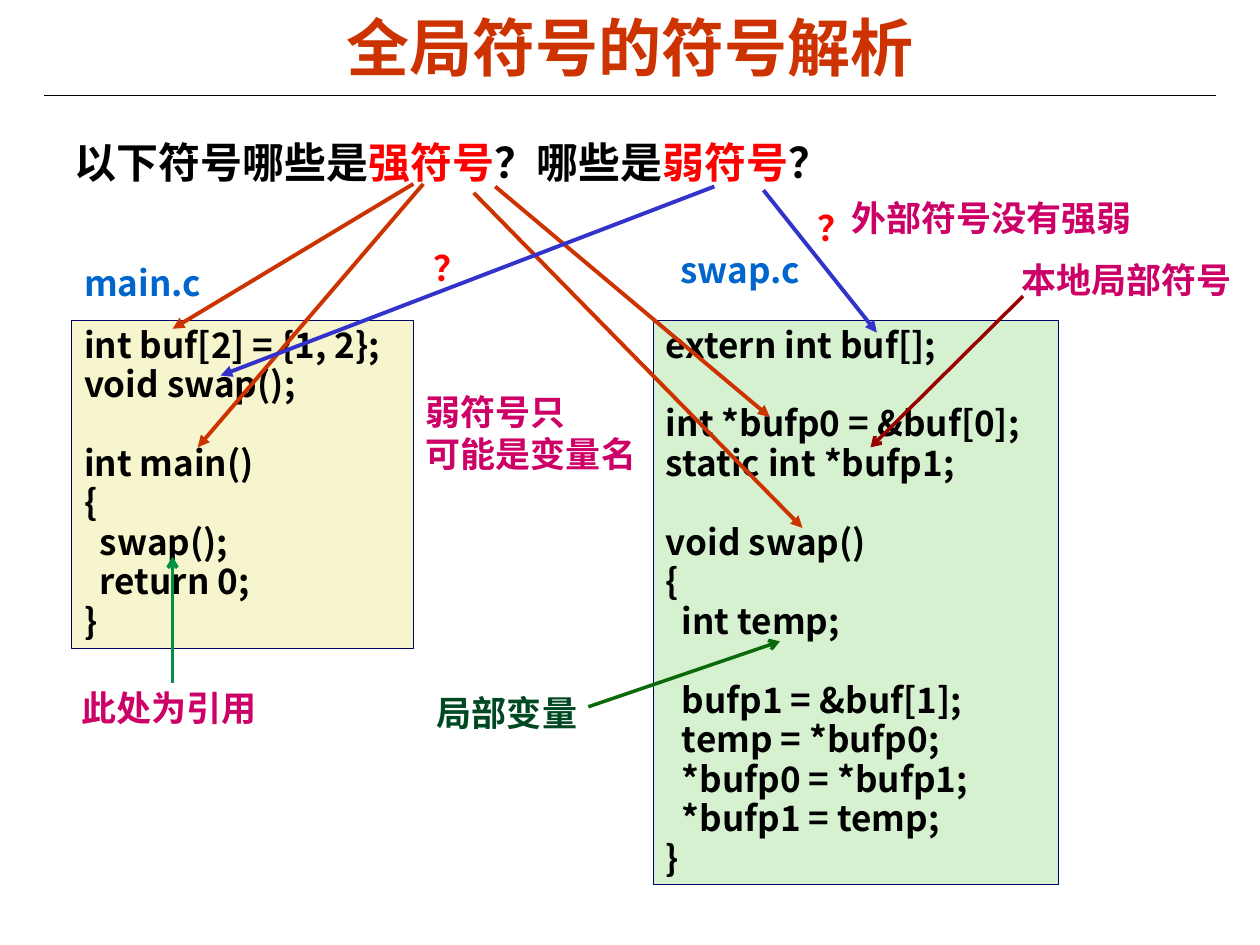
from lxml import etree
from pptx import Presentation
from pptx.dml.color import RGBColor
from pptx.enum import shapes, text
from pptx.oxml import ns
from pptx.text.text import Font
from pptx.util import Pt

COLORS = {
    "title": "CC3300", "black": "000000", "red": "FF0000", "file": "0066CC",
    "note": "CC0066", "local": "004821", "border": "000066",
    "main": "F7F5CD", "swap": "D5F1CF",
    "strong": "CC3300", "weak": "3333CC", "reference": "009242",
    "static": "990000", "temp": "0A6A0A",
}
CJK_FONT = "Noto Sans CJK SC"
ALIGN = text.PP_ALIGN


def write(shape, paragraphs, color="black", size=20, font=CJK_FONT, spacing=None,
          align=ALIGN.LEFT, anchor=text.MSO_ANCHOR.TOP, wrap=True):
    """Fill a shape; a paragraph is a string or a list of (string, color) runs."""
    frame = shape.text_frame
    frame.word_wrap = wrap
    frame.vertical_anchor = anchor
    for index, content in enumerate(paragraphs):
        paragraph = frame.add_paragraph() if index else frame.paragraphs[0]
        paragraph.alignment = align
        paragraph.line_spacing = spacing
        runs = [(content, color)] if isinstance(content, str) else content
        for words, run_color in runs:
            if words:
                run = paragraph.add_run()
                run.text = words
                properties = run._r.get_or_add_rPr()
            else:
                properties = paragraph._p.get_or_add_endParaRPr()
            style = Font(properties)
            style.size, style.bold, style.name = Pt(size), True, font
            style.color.rgb = RGBColor.from_string(COLORS[run_color])
            etree.SubElement(properties, ns.qn("a:ea"), typeface=CJK_FONT)


def draw_line(start, end, color, width, head=None):
    connector = slide.shapes.add_connector(
        shapes.MSO_CONNECTOR.STRAIGHT, *[Pt(value) for value in (*start, *end)])
    connector.line.color.rgb = RGBColor.from_string(COLORS[color])
    connector.line.width = Pt(width)
    if head:
        etree.SubElement(connector.line._get_or_add_ln(), ns.qn("a:tailEnd"), type=head)
    etree.SubElement(connector._element.spPr, ns.qn("a:effectLst"))


presentation = Presentation()
presentation.slide_width, presentation.slide_height = Pt(720), Pt(540)
slide = presentation.slides.add_slide(presentation.slide_layouts[5])

# Title and rule
title = slide.shapes.title
title.left, title.top, title.width, title.height = Pt(36), Pt(4.3), Pt(648), Pt(44)
write(title, ["全局符号的符号解析"], color="title", size=36, font="Arial",
      align=ALIGN.CENTER, anchor=text.MSO_ANCHOR.MIDDLE)
draw_line((25.2, 54.7), (694.8, 54.7), "black", 0.75)

# Code panels
main_code = """int buf[2] = {1, 2};
void swap();

int main()
{
  swap();
  return 0;
}"""
swap_code = """extern int buf[];

int *bufp0 = &buf[0];
static int *bufp1;

void swap()
{
  int temp;

  bufp1 = &buf[1];
  temp = *bufp0;
  *bufp0 = *bufp1;
  *bufp1 = temp;
}"""
for code, fill, left, width, height in (
        (main_code, "main", 41, 195.3, 187.2), (swap_code, "swap", 373.5, 231.3, 322.3)):
    panel = slide.shapes.add_shape(shapes.MSO_SHAPE.RECTANGLE,
                                   Pt(left), Pt(183), Pt(width), Pt(height))
    panel.shadow.inherit = False
    panel.fill.solid()
    panel.fill.fore_color.rgb = RGBColor.from_string(COLORS[fill])
    panel.line.color.rgb = RGBColor.from_string(COLORS["border"])
    panel.line.width = Pt(0.25)
    write(panel, code.split("\n"), spacing=0.94)

# Question, file names and notes
question = [("以下符号哪些是", "black"), ("强符号", "red"), ("？哪些是", "black"),
            ("弱符号", "red"), ("？", "black")]
labels = [
    ([question], (35.3, 74.2, 502, 36), {"size": 24, "font": "Arial"}),
    (["main.c"], (41, 147.6, 93, 29.5), {"color": "file", "spacing": 0.94}),
    (["swap.c"], (381.6, 140.4, 105, 29.5), {"color": "file", "spacing": 0.94}),
    (["此处为引用"], (39.6, 388.8, 114.5, 31), {"color": "note", "wrap": False}),
    (["本地局部符号"], (576.7, 144, 138.3, 31), {"color": "note"}),
    (["局部变量"], (242.6, 391.7, 94.3, 31),
     {"color": "local", "align": ALIGN.RIGHT, "wrap": False}),
    (["外部符号没有强弱"], (479.5, 108.7, 188.6, 31.7), {"color": "note"}),
    (["弱符号只", "可能是变量名"], (236.2, 219.6, 188.6, 55.4), {"color": "note"}),
    (["？"], (460, 116.6, 39, 30.2), {"color": "red", "spacing": 0.94}),
    (["？"], (240.5, 139, 39, 30.2), {"color": "red", "spacing": 0.94}),
]
for paragraphs, box, style in labels:
    write(slide.shapes.add_textbox(*[Pt(value) for value in box]), paragraphs, **style)

# Arrows from the question to strong and weak symbols
for color, start, end in (
        ("strong", (241.9, 105.1), (113, 255.6)),
        ("strong", (236.2, 105.1), (98.6, 187.9)),
        ("strong", (283, 106.6), (439.9, 238.3)),
        ("strong", (270.7, 110.2), (458.6, 301.7)),
        ("weak", (436.3, 108.7), (501.1, 190.1)),
        ("weak", (408.2, 106.6), (126, 214.6))):
    draw_line(start, end, color, 2.25, "triangle")

# Arrows from the notes to the code
for color, start, end in (
        ("reference", (98.6, 390.2), (98.6, 318.2)),
        ("static", (584.6, 169.2), (497.5, 255.6)),
        ("temp", (336.2, 403.9), (445.7, 366.5))):
    draw_line(start, end, color, 2, "arrow")

presentation.save("out.pptx")
